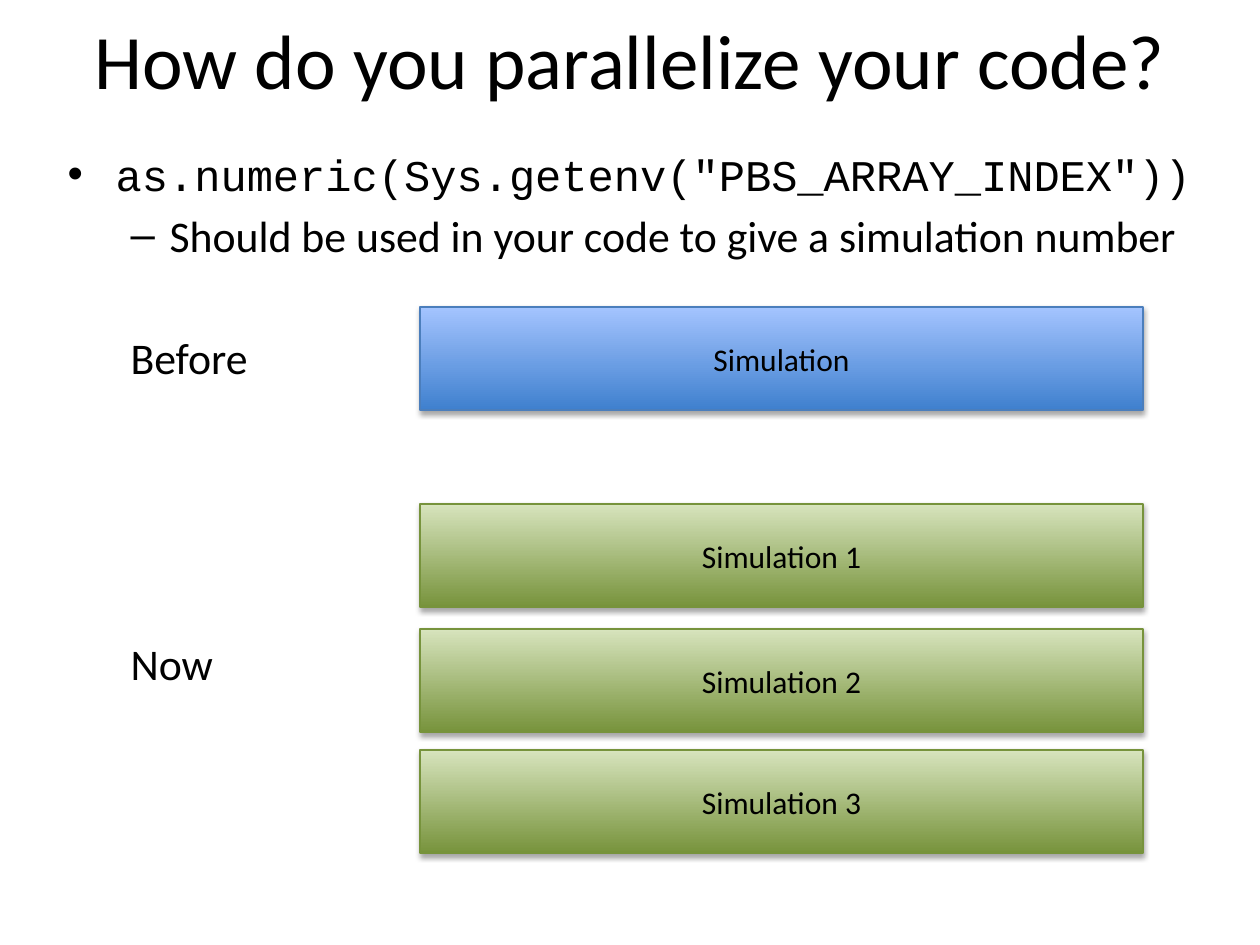
from lxml.etree import SubElement
from pptx import Presentation
from pptx.dml.color import RGBColor
from pptx.enum.shapes import MSO_SHAPE
from pptx.enum.text import MSO_ANCHOR, MSO_AUTO_SIZE, PP_ALIGN
from pptx.oxml.ns import qn
from pptx.util import Emu, Pt

COLORS = {
    "text": "000000",
    "shade": "000000",
    "blue": "3F80CE",
    "sky": "A4C4FF",
    "navy": "4B7EBC",
    "green": "77933C",
    "lime": "D7E4BD",
}


def px(n):
    return Emu(round(n * 914400 / 126))


def color(name):
    return RGBColor.from_string(COLORS[name])


def place(shape, left, top, width, height):
    shape.left, shape.top = px(left), px(top)
    shape.width, shape.height = px(width), px(height)


def write(frame, text, size=25, font="Calibri", align=PP_ALIGN.LEFT,
          level=0, margin=0, indent=0, before=0, bullet=None):
    """Fill the empty first paragraph, or add one below the last."""
    para = frame.paragraphs[0] if not frame.text else frame.add_paragraph()
    para.level = level
    props = para._p.get_or_add_pPr()
    props.set("marL", str(px(margin)))
    props.set("indent", str(px(indent)))
    if bullet:
        SubElement(props, qn("a:buFont"), typeface="Arial")
        SubElement(props, qn("a:buChar"), char=bullet)
    else:
        SubElement(props, qn("a:buNone"))
    para.alignment = align
    para.space_before = Pt(before)
    run = para.add_run()
    run.text = text
    run.font.size = Pt(size)
    run.font.name = font
    run.font.color.rgb = color("text")


def shade(shape):
    shape.shadow.inherit = False
    effects = shape._element.spPr.find(qn("a:effectLst"))
    outer = SubElement(effects, qn("a:outerShdw"), blurRad="40000",
                       dist="23000", dir="5400000", rotWithShape="0")
    tint = SubElement(outer, qn("a:srgbClr"), val=COLORS["shade"])
    SubElement(tint, qn("a:alpha"), val="35000")


def bar(slide, text, top, low, high, edge):
    """Draw a simulation bar, shaded from low (bottom) to high (top)."""
    shape = slide.shapes.add_shape(
        MSO_SHAPE.RECTANGLE, px(420), px(top), px(723), px(103))
    shape.fill.gradient()
    shape.fill.gradient_angle = 90
    for stop, spot, name in zip(shape.fill.gradient_stops, (0, 1), (low, high)):
        stop.position = spot
        stop.color.rgb = color(name)
    shape.line.color.rgb = color(edge)
    shape.line.width = Pt(0.75)
    shade(shape)
    shape.text_frame.vertical_anchor = MSO_ANCHOR.MIDDLE
    write(shape.text_frame, text, size=18, align=PP_ALIGN.CENTER)


def title(slide, text):
    shape = slide.shapes.title
    place(shape, 0, -20, 1260, 158)
    shape.text_frame.auto_size = MSO_AUTO_SIZE.NONE
    shape.text_frame.vertical_anchor = MSO_ANCHOR.MIDDLE
    write(shape.text_frame, text, size=44, align=PP_ALIGN.CENTER)


def body(slide):
    shape = slide.placeholders[1]
    place(shape, 55, 141, 1205, 804)
    frame = shape.text_frame
    frame.auto_size = MSO_AUTO_SIZE.NONE
    write(frame, 'as.numeric(Sys.getenv("PBS_ARRAY_INDEX"))',
          font="Courier New", margin=48, indent=-48, bullet="•")
    write(frame, "Should be used in your code to give a simulation number",
          level=1, margin=102, indent=-39, before=5, bullet="–")
    # Labels beside the bars
    for text, before in (("Before", 40), ("Now", 145)):
        write(frame, text, level=1, margin=63, before=before)


def main():
    deck = Presentation()
    deck.slide_width, deck.slide_height = px(1260), px(945)
    slide = deck.slides.add_slide(deck.slide_layouts[1])
    title(slide, "How do you parallelize your code?")
    body(slide)
    # One run before, three parallel runs now
    bar(slide, "Simulation", 307, "blue", "sky", "navy")
    for num, top in enumerate((504, 629, 750), 1):
        bar(slide, f"Simulation {num}", top, "green", "lime", "green")
    deck.save("out.pptx")


if __name__ == "__main__":
    main()
